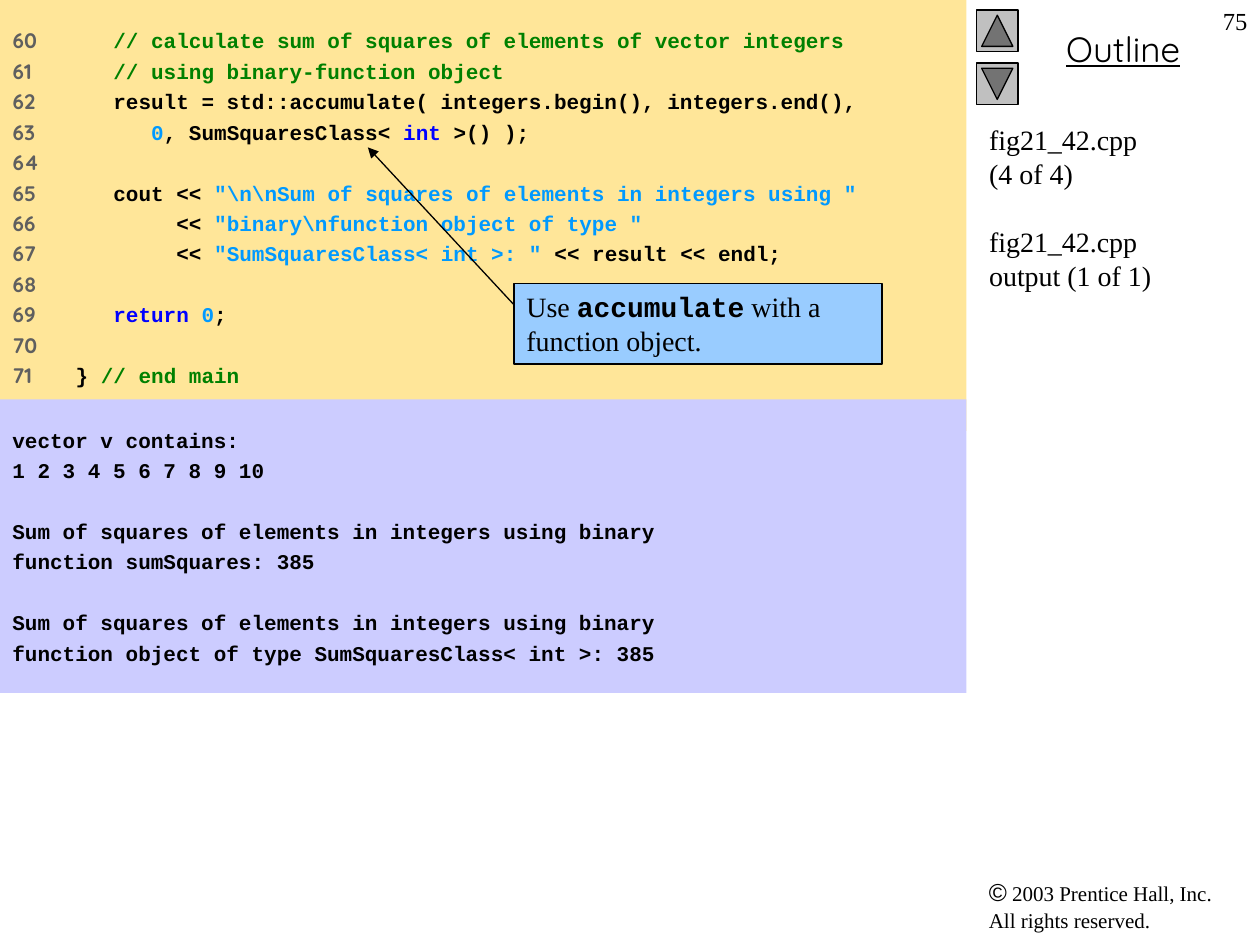
from dataclasses import dataclass

from lxml.etree import SubElement
from pptx import Presentation
from pptx.dml.color import RGBColor
from pptx.enum.shapes import MSO_CONNECTOR, MSO_SHAPE
from pptx.enum.text import MSO_ANCHOR, MSO_AUTO_SIZE, PP_ALIGN
from pptx.oxml.ns import qn
from pptx.util import Inches, Pt


@dataclass(frozen=True)
class Theme:
    serif: str = "Times New Roman"
    sans: str = "Arial"
    mono: str = "Courier New"
    heading: str = "Quicksand"
    black: str = "000000"
    number: str = "5F5F5F"
    comment: str = "008000"
    keyword: str = "0000FF"
    literal: str = "0099FF"
    code_fill: str = "FFE699"
    output_fill: str = "CCCCFF"
    callout_fill: str = "99CCFF"
    button_fill: str = "C0C0C0"
    small: int = 12
    medium: int = 14
    body: int = 16
    large: int = 20
    small_pitch: float = 14.4
    footer_pitch: float = 14.9
    body_pitch: float = 19.4


T = Theme()


def style_font(font, name=None, size=None, color=None, bold=None, underline=None):
    if name:
        font.name = name
    if size:
        font.size = Pt(size)
    if color:
        font.color.rgb = RGBColor.from_string(color)
    if bold is not None:
        font.bold = bold
    if underline is not None:
        font.underline = underline


class SlideBuilder:
    def __init__(self, slide, theme):
        self.s = slide
        self.theme = theme

    def place(self, sp, box, pad=0.05, fill=None):
        sp.left, sp.top, sp.width, sp.height = (Inches(v) for v in box)
        if fill:
            sp.fill.solid()
            sp.fill.fore_color.rgb = RGBColor.from_string(fill)
        tf = sp.text_frame
        tf.word_wrap = True
        tf.auto_size = MSO_AUTO_SIZE.NONE
        tf.vertical_anchor = MSO_ANCHOR.TOP
        tf.margin_left = tf.margin_right = Inches(0.1)
        tf.margin_top = tf.margin_bottom = Inches(pad)
        return tf

    def add_lines(self, tf, lines, pitch=None, before=0, gaps=(), tab=None,
                  align=PP_ALIGN.LEFT, **font):
        """Each line is a list of (text, run style); gaps lists lines set one pitch lower."""
        for i, runs in enumerate(lines):
            p = tf.paragraphs[0] if i == 0 else tf.add_paragraph()
            p.alignment = align
            if pitch:
                p.line_spacing = Pt(pitch)
            p.space_before = Pt(0 if i == 0 else before)
            if i in gaps:
                p.space_before = Pt(2 * before + pitch)
            if tab:
                tabs = SubElement(p._p.get_or_add_pPr(), qn("a:tabLst"))
                SubElement(tabs, qn("a:tab"), pos=str(Inches(tab)), algn="l")
            style_font(p.font, **font)
            for text, style in runs:
                for k, part in enumerate(text.split("\n")):
                    if k:
                        p.add_line_break()
                    r = p.add_run()
                    r.text = part
                    style_font(r.font, **style)

    def text(self, box, lines, **style):
        sp = self.s.shapes.add_textbox(0, 0, 0, 0)
        self.add_lines(self.place(sp, box), lines, **style)

    def panel(self, box, lines, fill, pad=0.05, outlined=False, **style):
        sp = self.shape(MSO_SHAPE.RECTANGLE, box, outlined)
        self.add_lines(self.place(sp, box, pad, fill), lines, **style)

    def shape(self, kind, box, outlined=True):
        sp = self.s.shapes.add_shape(kind, *(Inches(v) for v in box))
        sp.shadow.inherit = False
        if outlined:
            sp.line.color.rgb = RGBColor.from_string(self.theme.black)
            sp.line.width = Pt(0.75)
        else:
            sp.line.fill.background()
        return sp

    def button(self, box, rotation):
        sp = self.shape(MSO_SHAPE.ACTION_BUTTON_BACK_OR_PREVIOUS, box)
        sp.fill.solid()
        sp.fill.fore_color.rgb = RGBColor.from_string(self.theme.button_fill)
        sp.rotation = rotation

    def arrow(self, start, end):
        points = (Inches(v) for v in (*start, *end))
        connector = self.s.shapes.add_connector(MSO_CONNECTOR.STRAIGHT, *points)
        connector.line.color.rgb = RGBColor.from_string(self.theme.black)
        connector.line.width = Pt(0.75)
        sp_pr = connector._element.spPr
        SubElement(sp_pr.find(qn("a:ln")), qn("a:tailEnd"), type="triangle")
        SubElement(sp_pr, qn("a:effectLst"))


def code(text, color=T.black):
    return text, {"name": T.mono, "color": color}


FIRST_LINE = 60
CODE = [
    [code("   // calculate sum of squares of elements of vector integers", T.comment)],
    [code("   // using binary-function object", T.comment)],
    [code("   result = std::accumulate( integers.begin(), integers.end(),")],
    [code("      "), code("0", T.literal), code(", SumSquaresClass< "),
     code("int", T.keyword), code(" >() );")],
    [],
    [code("   cout << "),
     code(r'"\n\nSum of squares of elements in integers using "', T.literal)],
    [code("        << "), code(r'"binary\nfunction object of type "', T.literal)],
    [code("        << "), code('"SumSquaresClass< int >: "', T.literal),
     code(" << result << endl;")],
    [],
    [code("   return ", T.keyword), code("0", T.literal), code(";")],
    [],
    [code("} "), code("// end main", T.comment)],
]
OUTPUT = [
    "vector v contains:",
    "1 2 3 4 5 6 7 8 9 10",
    "Sum of squares of elements in integers using binary",
    "function sumSquares: 385",
    "Sum of squares of elements in integers using binary",
    "function object of type SumSquaresClass< int >: 385",
]


def main():
    prs = Presentation()
    prs.slide_width, prs.slide_height = Inches(10), Inches(7.5)
    s = prs.slides.add_slide(prs.slide_layouts[0])
    b = SlideBuilder(s, T)
    serif = {"name": T.serif, "color": T.black}
    listing = {"size": T.small, "bold": True, "pitch": T.small_pitch, "before": 3}

    # Sidebar: heading, navigation buttons, page number, copyright
    b.text((7.83, 0.17, 2.17, 0.44), [[("Outline", {})]], align=PP_ALIGN.CENTER,
           name=T.heading, size=T.large, color=T.black, underline=True)
    for top, rotation in ((0.08, 90), (0.5, 270)):
        b.button((7.75, top, 0.33, 0.33), rotation)
    b.text((9.5, 0, 0.5, 0.5), [[("75", {})]], align=PP_ALIGN.RIGHT,
           size=T.medium, **serif)
    b.text((7.75, 6.94, 2.17, 0.54),
           [[("©", {"name": T.sans, "size": T.medium}),
             (" 2003 Prentice Hall, Inc.\nAll rights reserved.",
              {"name": T.serif, "size": T.small})]],
           pitch=T.footer_pitch, color=T.black)

    # Title: file names
    title = b.place(s.shapes.title, (7.75, 0.92, 2.25, 5.25))
    b.add_lines(title, [[("fig21_42.cpp\n(4 of 4)", {})],
                        [("fig21_42.cpp\noutput (1 of 1)", {})]],
                pitch=T.body_pitch, gaps=(1,), size=T.body, **serif)

    # Numbered code listing
    body = b.place(s.placeholders[1], (0, 0, 7.67, 3.42), 0.22, T.code_fill)
    rows = []
    for number, runs in enumerate(CODE, FIRST_LINE):
        label = f"{number}\t" if runs else str(number)
        rows.append([(label, {"name": T.heading, "color": T.number}), *runs])
    b.add_lines(body, rows, tab=0.36, **listing)

    # Program output
    b.panel((0, 3.17, 7.67, 2.33), [[(line, {})] for line in OUTPUT],
            T.output_fill, pad=0.22, gaps=(2, 4), name=T.mono,
            color=T.black, **listing)

    # Callout with arrow
    b.panel((4.08, 2.25, 2.92, 0.64),
            [[("Use ", {"name": T.serif}),
              ("accumulate", {"name": T.mono, "bold": True}),
              (" with a function object.", {"name": T.serif})]],
            T.callout_fill, outlined=True, pitch=T.body_pitch,
            size=T.body, color=T.black)
    b.arrow((4.08, 2.42), (2.92, 1.17))

    prs.save("out.pptx")


if __name__ == "__main__":
    main()
